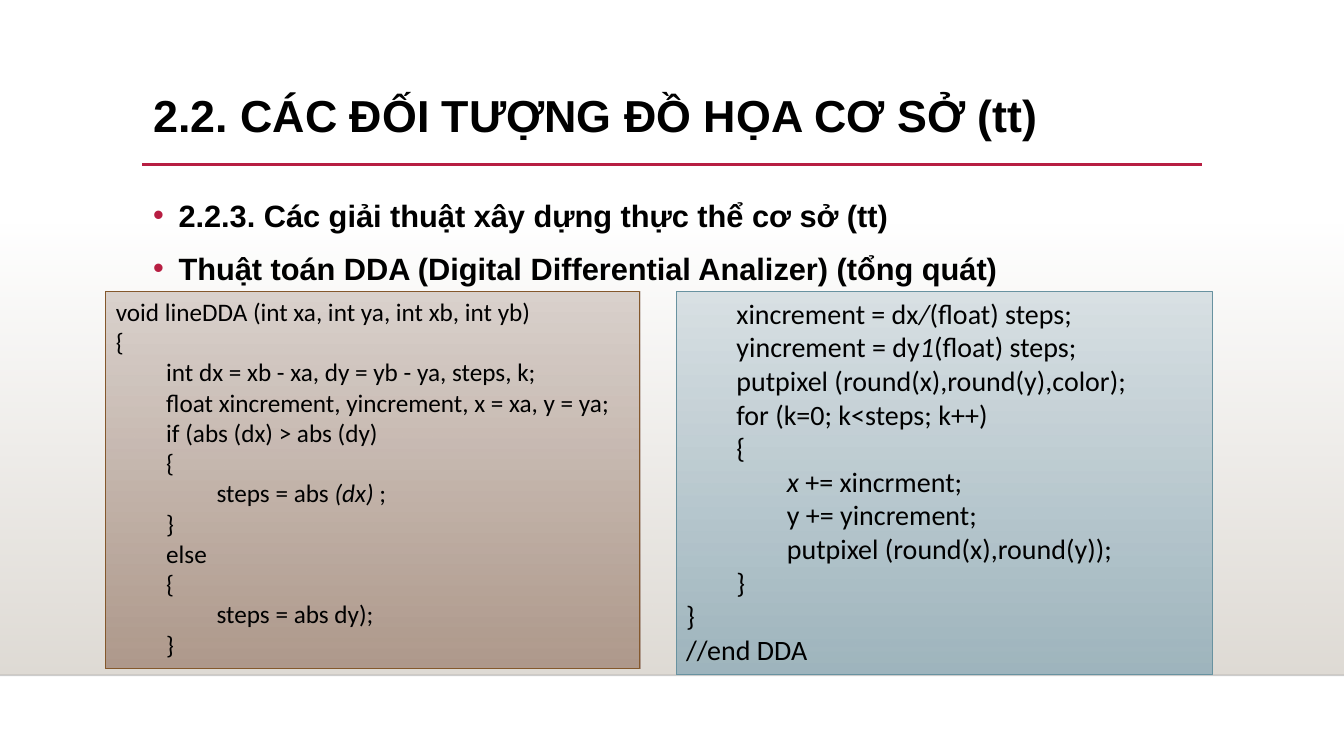
import pptx
import pptx.util
import pptx.dml.color
import pptx.enum.shapes
import pptx.enum.text
import pptx.oxml.ns
import lxml.etree

Cm = pptx.util.Cm
Pt = pptx.util.Pt
RGBColor = pptx.dml.color.RGBColor
RECTANGLE = pptx.enum.shapes.MSO_SHAPE.RECTANGLE
STRAIGHT = pptx.enum.shapes.MSO_CONNECTOR.STRAIGHT
TOP = pptx.enum.text.MSO_ANCHOR.TOP
NO_FIT = pptx.enum.text.MSO_AUTO_SIZE.NONE
ALIGN = pptx.enum.text.PP_ALIGN
qn = pptx.oxml.ns.qn

BLACK = RGBColor(0x00, 0x00, 0x00)
CRIMSON = RGBColor(0xB7, 0x1E, 0x42)
FLOOR = RGBColor(0xDF, 0xDB, 0xD5)
EDGE = RGBColor(0x00, 0x00, 0x01)
BROWN = [RGBColor(0xDA, 0xD2, 0xCD), RGBColor(0xAB, 0x94, 0x86), RGBColor(0x84, 0x58, 0x2C)]
TEAL = [RGBColor(0xD9, 0xE1, 0xE4), RGBColor(0x9A, 0xB2, 0xBC), RGBColor(0x68, 0x92, 0xA0)]

SETUP_CODE = """void lineDDA (int xa, int ya, int xb, int yb)
{
\tint dx = xb - xa, dy = yb - ya, steps, k;
\tfloat xincrement, yincrement, x = xa, y = ya;
\tif (abs (dx) > abs (dy)
\t{
\t\tsteps = abs *(dx) *;
\t}
\telse
\t{
\t\tsteps = abs dy);
\t}"""
LOOP_CODE = """\txincrement = dx*/*(float) steps;
\tyincrement = dy*1*(float) steps;
\tputpixel (round(x),round(y),color);
\tfor (k=0; k<steps; k++)
\t{
\t\t*x *+= xincrment;
\t\ty += yincrement;
\t\tputpixel (round(x),round(y));
\t}
}
//end DDA"""


def set_opacity(shape, opacities):
    for color, percent in zip(shape.element.spPr.iter(qn("a:srgbClr")), opacities):
        lxml.etree.SubElement(color, qn("a:alpha")).set("val", str(percent * 1000))


def add_gradient_box(left, top, width, height, colors):
    box = page.shapes.add_shape(RECTANGLE, Cm(left), Cm(top), Cm(width), Cm(height))
    box.shadow.inherit = False
    box.fill.gradient()
    box.fill.gradient_angle = 270
    for stop, position, color in zip(box.fill.gradient_stops, (0, 1), colors):
        stop.position = position
        stop.color.rgb = color
    return box


deck = pptx.Presentation()
deck.slide_width = Cm(33.87)
deck.slide_height = Cm(19.05)
page = deck.slides.add_slide(deck.slide_layouts[5])

floor = add_gradient_box(0, 5.61, 33.87, 11.4, [FLOOR, FLOOR])
floor.line.fill.background()
set_opacity(floor, [0, 100])

for left, right, height, color, weight, opacity in [
    (0, 33.87, 17.02, EDGE, 1, 20),
    (3.58, 30.28, 4.14, CRIMSON, 2.5, 100),
]:
    rule = page.shapes.add_connector(STRAIGHT, Cm(left), Cm(height), Cm(right), Cm(height))
    rule.line.color.rgb = color
    rule.line.width = Pt(weight)
    set_opacity(rule, [opacity])
    lxml.etree.SubElement(rule.element.spPr, qn("a:effectLst"))

title = page.shapes.title
title.left, title.top, title.width, title.height = Cm(3.61), Cm(2.24), Cm(26.67), Cm(2.92)
title.text_frame.text = "2.2. CÁC ĐỐI TƯỢNG ĐỒ HỌA CƠ SỞ (tt)"
title.text_frame.vertical_anchor = TOP
title.text_frame.auto_size = NO_FIT
heading = title.text_frame.paragraphs[0]
heading.alignment = ALIGN.LEFT
heading.line_spacing = 0.9

body = page.shapes.add_textbox(Cm(3.61), Cm(4.45), Cm(27.13), Cm(2.92))
body.text_frame.word_wrap = True
body.text_frame.text = (
    "2.2.3. Các giải thuật xây dựng thực thể cơ sở (tt)\n"
    "Thuật toán DDA (Digital Differential Analizer) (tổng quát)"
)
for para in body.text_frame.paragraphs:
    para.alignment = ALIGN.JUSTIFY
    para.line_spacing = 1.4
    para.space_before = Pt(1)
    layout = para._p.get_or_add_pPr()
    layout.set("marL", str(Cm(0.64)))
    layout.set("indent", str(-Cm(0.64)))
    bullet_color = lxml.etree.SubElement(layout, qn("a:buClr"))
    lxml.etree.SubElement(bullet_color, qn("a:srgbClr")).set("val", str(CRIMSON))
    lxml.etree.SubElement(layout, qn("a:buFont")).set("typeface", "Arial")
    lxml.etree.SubElement(layout, qn("a:buChar")).set("char", "•")

for para, size in zip([heading, *body.text_frame.paragraphs], (32, 22, 22)):
    para.font.name = "Arial"
    para.font.size = Pt(size)
    para.font.bold = True
    para.font.color.rgb = BLACK

for left, width, height, colors, size, code in [
    (2.67, 13.46, 9.5, BROWN, 18, SETUP_CODE),
    (17.04, 13.51, 9.65, TEAL, 20, LOOP_CODE),
]:
    box = add_gradient_box(left, 7.34, width, height, colors[:2])
    set_opacity(box, [100, 92])
    box.line.color.rgb = colors[2]
    box.line.width = Pt(0.75)
    frame = box.text_frame
    frame.word_wrap = True
    frame.vertical_anchor = TOP
    for number, line in enumerate(code.split("\n")):
        para = frame.add_paragraph() if number else frame.paragraphs[0]
        para.alignment = ALIGN.LEFT
        para._p.get_or_add_pPr().set("defTabSz", str(Cm(1.27)))
        para.font.name = "Calibri"
        para.font.size = Pt(size)
        para.font.color.rgb = BLACK
        for index, piece in enumerate(line.split("*")):
            span = para.add_run()
            span.text = piece
            if index % 2:
                span.font.italic = True

deck.save("out.pptx")
